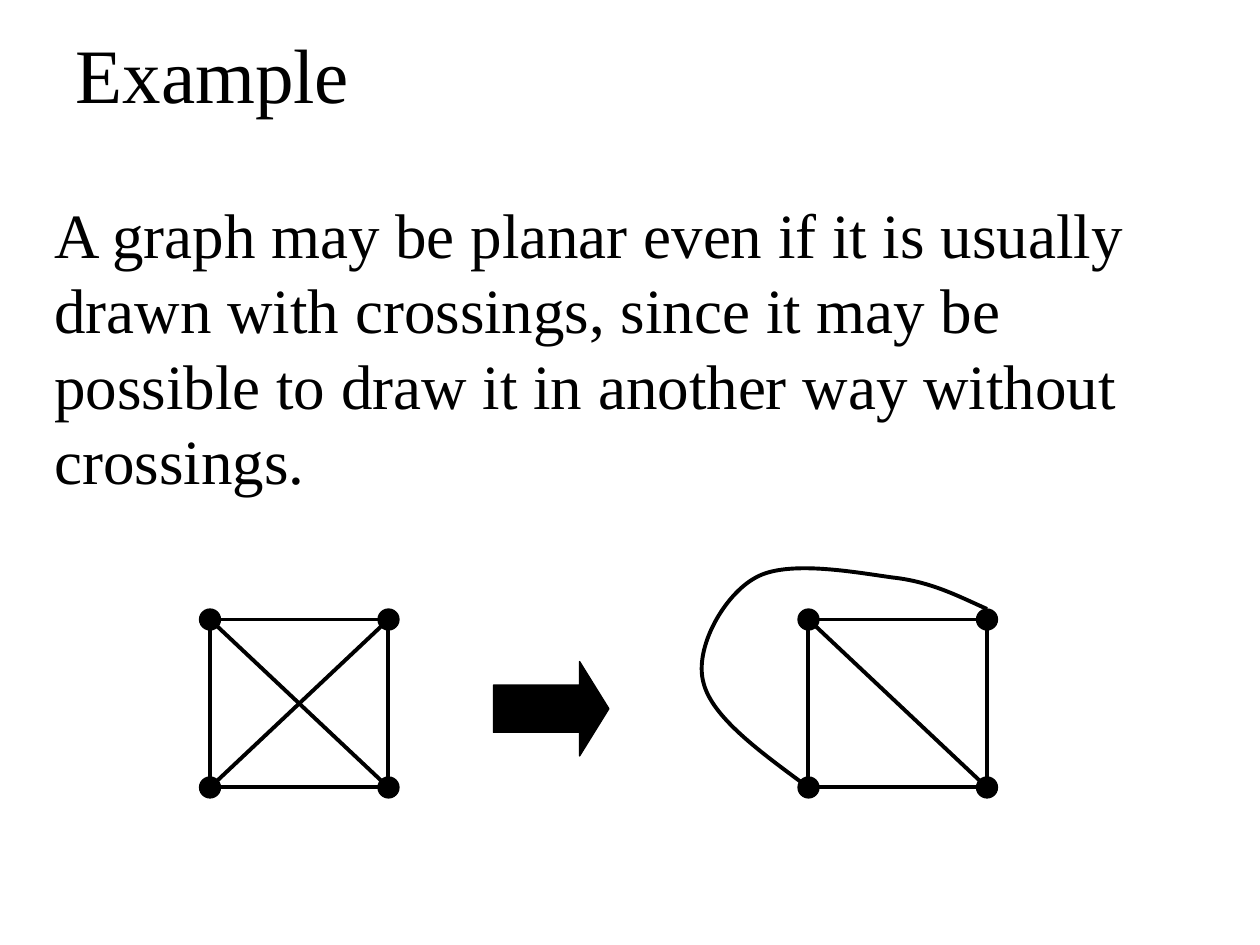
from itertools import product
from lxml.etree import SubElement
from pptx import Presentation
from pptx.dml.color import RGBColor
from pptx.enum.shapes import MSO_CONNECTOR, MSO_SHAPE
from pptx.enum.text import MSO_ANCHOR, PP_ALIGN
from pptx.oxml.ns import qn
from pptx.util import Pt

PX = 7620
HUES = {"ink": "000000"}
FONT = "Times New Roman"
SIDE, TALL, DOT = 170, 160, 20
TOP = 590
CURVE = [(940, 580), (913, 568), (887, 554), (850, 550),
         (814, 545), (750, 533), (720, 550),
         (690, 566), (661, 617), (670, 650),
         (678, 683), (724, 716), (770, 750)]


class Deck:
    """Draws styled elements on the current slide."""

    def __init__(self, wide, high):
        self.file = Presentation()
        self.file.slide_width = wide * PX
        self.file.slide_height = high * PX
        self.slide = self.file.slides.add_slide(self.file.slide_layouts[5])
        self.ink = RGBColor.from_string(HUES["ink"])

    def label(self, frame, text, size):
        frame.word_wrap = True
        frame.text = text
        para = frame.paragraphs[0]
        para.alignment = PP_ALIGN.LEFT
        font = para.runs[0].font
        font.name, font.size = FONT, Pt(size)
        font.color.rgb = self.ink
        return para

    def title(self, text, *box):
        shape = self.slide.shapes.title
        shape.left, shape.top, shape.width, shape.height = (n * PX for n in box)
        shape.text_frame.vertical_anchor = MSO_ANCHOR.MIDDLE
        self.label(shape.text_frame, text, 44).line_spacing = 0.9

    def text(self, text, *box):
        shape = self.slide.shapes.add_textbox(*(n * PX for n in box))
        self.label(shape.text_frame, text, 36)

    def style(self, shape, solid, weight):
        shape.shadow.inherit = False
        if solid:
            shape.fill.solid()
            shape.fill.fore_color.rgb = self.ink
        else:
            shape.fill.background()
        shape.line.color.rgb = self.ink
        shape.line.width = Pt(weight)

    def shape(self, home, kind, box, solid=True):
        shape = home.add_shape(kind, *(n * PX for n in box))
        self.style(shape, solid, 0.75 if solid else 2.25)
        return shape

    def line(self, home, *ends):
        line = home.add_connector(MSO_CONNECTOR.STRAIGHT, *(n * PX for n in ends))
        line.line.color.rgb = self.ink
        line.line.width = Pt(2.25)
        SubElement(line._element.spPr, qn("a:effectLst"))

    def curve(self, home, points):
        pen = home.build_freeform(*points[0], scale=PX)
        pen.add_line_segments(points[1:], close=False)
        shape = pen.convert_to_shape()
        self.style(shape, False, 2.25)
        route = shape._element.find(".//" + qn("a:path"))
        steps = route.findall(qn("a:lnTo"))
        for i in range(0, len(steps), 3):
            bend = SubElement(route, qn("a:cubicBezTo"))
            for step in steps[i:i + 3]:
                bend.append(step[0])
                route.remove(step)

    def graph(self, left, cross):
        home = self.slide.shapes.add_group_shape().shapes
        right, base = left + SIDE, TOP + TALL
        self.shape(home, MSO_SHAPE.RECTANGLE, (left, TOP, SIDE, TALL), False)
        self.line(home, left, TOP, right, base)
        if cross:
            self.line(home, left, base, right, TOP)
        for x, y in product((left, right), (TOP, base)):
            box = (x - DOT // 2, y - DOT // 2, DOT, DOT)
            self.shape(home, MSO_SHAPE.OVAL, box)
        return home

    def arrow(self, *box):
        shape = self.shape(self.slide.shapes, MSO_SHAPE.RIGHT_ARROW, box)
        shape.adjustments[1] = 0.31


def main():
    deck = Deck(1200, 900)
    deck.title("Example", 60, 20, 1080, 110)
    deck.graph(200, True)
    deck.curve(deck.graph(770, False), CURVE)
    deck.arrow(470, 630, 110, 90)
    deck.text("A graph may be planar even if it is usually drawn with crossings, "
              "since it may be possible to draw it in another way without "
              "crossings.", 40, 180, 1110, 300)
    deck.file.save("out.pptx")


if __name__ == "__main__":
    main()
